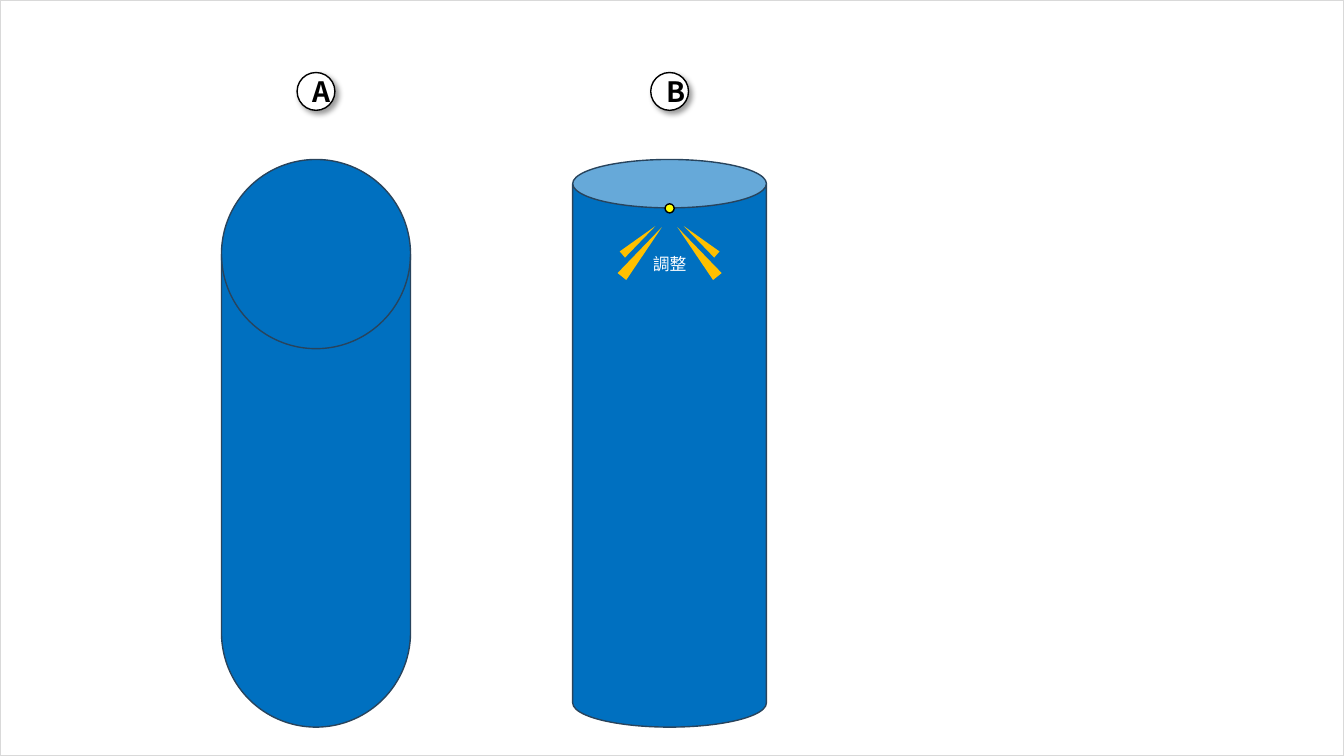
from dataclasses import dataclass

from lxml import etree
from pptx import Presentation
from pptx.dml.color import RGBColor
from pptx.enum.shapes import MSO_SHAPE
from pptx.enum.text import MSO_ANCHOR, MSO_AUTO_SIZE, PP_ALIGN
from pptx.oxml.ns import qn
from pptx.util import Pt

RECTANGLE = MSO_SHAPE.RECTANGLE
DISK = MSO_SHAPE.FLOWCHART_MAGNETIC_DISK
CAN = MSO_SHAPE.CAN
OVAL = MSO_SHAPE.OVAL
TRIANGLE = MSO_SHAPE.ISOSCELES_TRIANGLE
MIDDLE = MSO_ANCHOR.MIDDLE
FIT_SHAPE = MSO_AUTO_SIZE.SHAPE_TO_FIT_TEXT
NO_RESIZE = MSO_AUTO_SIZE.NONE
CENTER = PP_ALIGN.CENTER


@dataclass(frozen=True)
class Theme:
    """Colours, font and type sizes of the slide."""

    font: str = "Noto Sans CJK JP"
    badge_size: float = 20
    label_size: float = 12
    body: str = "0070C0"
    outline: str = "28445D"
    frame: str = "D9D9D9"
    white: str = "FFFFFF"
    black: str = "000000"
    handle: str = "FFFF00"
    ray: str = "FFC000"


class CylinderSlide:
    """Draws elements, placed by their horizontal centre, on one slide."""

    def __init__(self, presentation, theme):
        """Start a blank slide with the given theme."""
        self.theme = theme
        self.slide = presentation.slides.add_slide(presentation.slide_layouts[6])

    def shape(self, kind, center, top, width, height,
              fill=None, line=None, rotation=0, parent=None):
        """Add a preset shape with flat fill and optional outline."""
        shapes = (parent or self.slide).shapes
        shape = shapes.add_shape(
            kind, Pt(center - width / 2), Pt(top), Pt(width), Pt(height))
        shape.shadow.inherit = False
        shape.rotation = rotation
        for target, color in ((shape.fill, fill), (shape.line.fill, line)):
            if color:
                target.solid()
                target.fore_color.rgb = RGBColor.from_string(color)
            else:
                target.background()
        if line:
            shape.line.width = Pt(1)
        return shape

    def label(self, shape, text, color, size, bold, frame_format):
        """Put one centred line of text into a shape."""
        frame = shape.text_frame
        for name, value in frame_format.items():
            setattr(frame, name, value)
        paragraph = frame.paragraphs[0]
        paragraph.alignment = CENTER
        run = paragraph.add_run()
        run.text = text
        font_format = {"name": self.theme.font, "size": Pt(size), "bold": bold}
        for name, value in font_format.items():
            setattr(run.font, name, value)
        run.font.color.rgb = RGBColor.from_string(color)
        east_asian = etree.SubElement(run.font._element, qn("a:ea"))
        east_asian.set("typeface", self.theme.font)

    def badge(self, letter, center):
        """Add a lettered circle with a soft shadow."""
        theme = self.theme
        shape = self.shape(OVAL, center, 51.8, 27, 27, theme.white, theme.black)
        effects = shape._element.spPr.find(qn("a:effectLst"))
        shadow = etree.SubElement(
            effects, qn("a:outerShdw"), blurRad=str(Pt(4)), dist=str(Pt(3)),
            dir="2700000", algn="tl", rotWithShape="0")
        color = etree.SubElement(shadow, qn("a:srgbClr"), val=theme.black)
        etree.SubElement(color, qn("a:alpha"), val="40000")
        self.label(shape, letter, theme.black, theme.badge_size, True,
                   {"word_wrap": True, "vertical_anchor": MIDDLE,
                    "auto_size": NO_RESIZE})

    def callout(self, text, center):
        """Add a grouped label with mirrored rays around it."""
        theme = self.theme
        group = self.slide.shapes.add_group_shape()
        width = 39
        box = group.shapes.add_textbox(
            Pt(center - width / 2), Pt(177.8), Pt(width), Pt(21.6))
        self.label(box, text, theme.white, theme.label_size, False,
                   {"word_wrap": False, "auto_size": FIT_SHAPE})
        rays = ((19.8, 157.2, 7.9, 45.4, 39), (22, 156.2, 5.8, 31, 49.3))
        for offset, top, ray_width, ray_height, angle in rays:
            for side in (-1, 1):
                self.shape(TRIANGLE, center + side * offset, top, ray_width,
                           ray_height, theme.ray, rotation=-side * angle,
                           parent=group)


def main():
    """Build and save the slide."""
    theme = Theme()
    presentation = Presentation()
    presentation.slide_width, presentation.slide_height = Pt(960), Pt(540)
    page = CylinderSlide(presentation, theme)
    page.shape(RECTANGLE, 480, 0, 960, 540, line=theme.frame)

    can_center = 478.3
    cylinders = (("A", DISK, 225.7, 135), ("B", CAN, can_center, 138.4))
    for _, kind, center, width in cylinders:
        page.shape(kind, center, 113.9, width, 405.5, theme.body, theme.outline)
    for letter, _, center, _ in cylinders:
        page.badge(letter, center)
    page.shape(OVAL, can_center, 145.6, 6.5, 6.5, theme.handle, theme.black)
    page.callout("調整", can_center)
    presentation.save("out.pptx")


if __name__ == "__main__":
    main()
